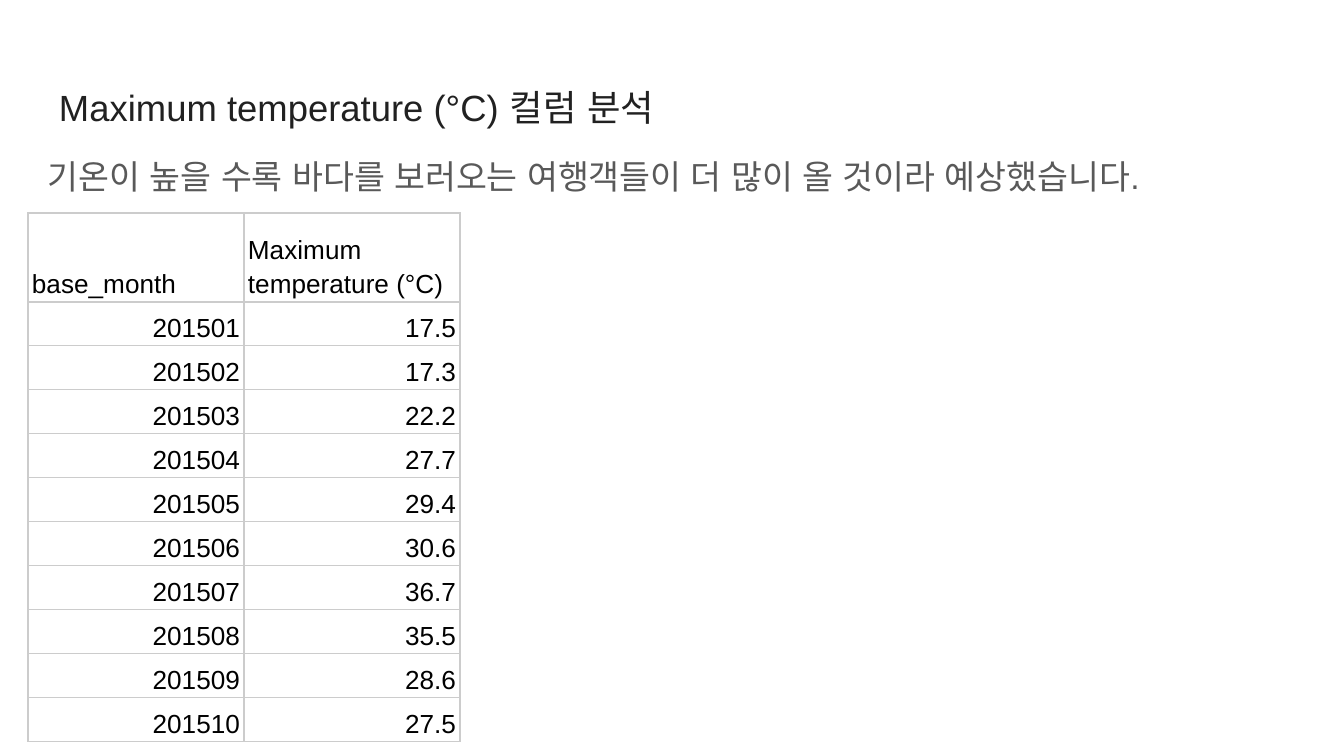
from lxml import etree
from pptx import Presentation
from pptx.dml.color import RGBColor
from pptx.enum import text
from pptx.oxml import ns
from pptx.util import Pt

PX = 914400 / 134.4
SLIDE = (1344, 756)
FONT = "Arial"
TEXTS = [
    ("Maximum temperature (°C) 컬럼 분석", (46, 66, 1253, 85), 19.5, "212121"),
    ("기온이 높을 수록 바다를 보러오는 여행객들이 더 많이 올 것이라 예상했습니다.",
     (35, 137, 1253, 503), 18, "595959"),
]
HEADER = ("base_month", "Maximum temperature (°C)")
TEMPERATURES = [17.5, 17.3, 22.2, 27.7, 29.4, 30.6, 36.7, 35.5, 28.6, 27.5]
FIRST_MONTH = 201501
TABLE_LEFT, TABLE_TOP = 28, 213
COL_W, HEADER_H, ROW_H = 216, 89, 44
BORDER = "CCCCCC"


def px(n):
    return round(n * PX)


def style(p, size, color):
    p.line_spacing = 1.15
    p.font.size = Pt(size)
    p.font.name = FONT
    p.font.color.rgb = RGBColor.from_string(color)
    for script in ("ea", "cs"):
        etree.SubElement(p.font._rPr, ns.qn(f"a:{script}"), typeface=FONT)


def add_text(s, words, box, size, color):
    tf = s.shapes.add_textbox(*map(px, box)).text_frame
    tf.word_wrap = True
    tf.margin_left = tf.margin_right = tf.margin_top = tf.margin_bottom = px(13)
    tf.text = words
    style(tf.paragraphs[0], size, color)


def add_borders(cell):
    tc_pr = cell._tc.get_or_add_tcPr()
    for i, side in enumerate("LRTB"):
        ln = etree.Element(ns.qn(f"a:ln{side}"), w=str(Pt(0.75)))
        fill = etree.SubElement(ln, ns.qn("a:solidFill"))
        etree.SubElement(fill, ns.qn("a:srgbClr"), val=BORDER)
        tc_pr.insert(i, ln)


def add_table(s, rows):
    height = HEADER_H + ROW_H * (len(rows) - 1)
    table = s.shapes.add_table(len(rows), 2, px(TABLE_LEFT), px(TABLE_TOP),
                               px(2 * COL_W), px(height)).table
    for col in table.columns:
        col.width = px(COL_W)
    for i, values in enumerate(rows):
        table.rows[i].height = px(ROW_H if i else HEADER_H)
        for j, value in enumerate(values):
            cell = table.cell(i, j)
            cell.margin_left = cell.margin_right = px(4)
            cell.margin_top = cell.margin_bottom = px(3)
            cell.vertical_anchor = text.MSO_ANCHOR.BOTTOM
            cell.fill.background()
            add_borders(cell)
            cell.text = str(value)
            p = cell.text_frame.paragraphs[0]
            p.alignment = text.PP_ALIGN.RIGHT if i else text.PP_ALIGN.LEFT
            style(p, 14, "000000")


def main():
    """Build the monthly maximum temperature slide."""
    prs = Presentation()
    prs.slide_width, prs.slide_height = map(px, SLIDE)
    s = prs.slides.add_slide(prs.slide_layouts[6])
    for item in TEXTS:
        add_text(s, *item)
    add_table(s, [HEADER, *enumerate(TEMPERATURES, FIRST_MONTH)])
    prs.save("out.pptx")


if __name__ == "__main__":
    main()
